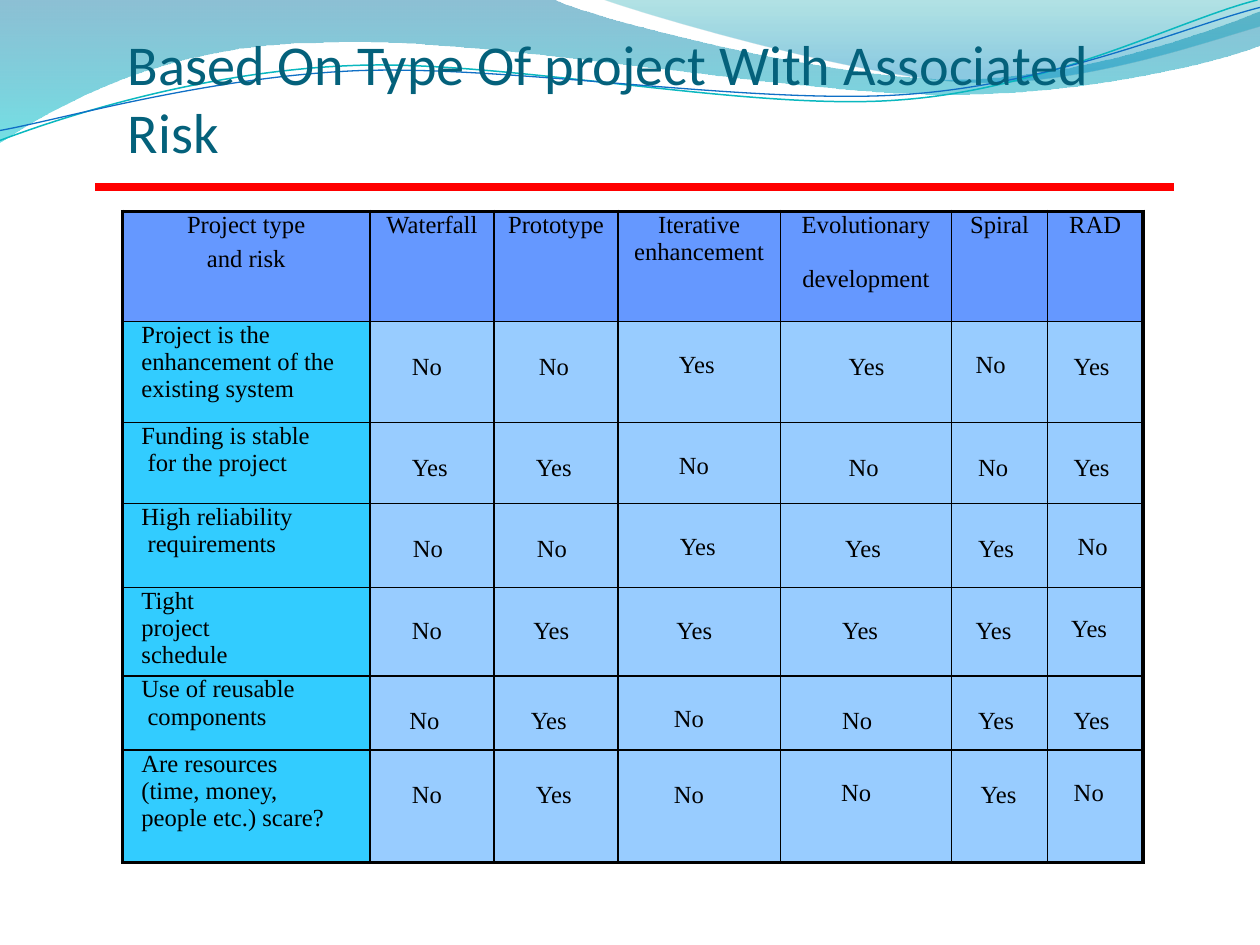
from pptx import Presentation
from pptx.dml.color import RGBColor
from pptx.enum.shapes import MSO_CONNECTOR
from pptx.enum.text import MSO_ANCHOR, PP_ALIGN
from pptx.oxml.ns import qn
from pptx.oxml.xmlchemy import OxmlElement
from pptx.util import Cm, Pt

COLORS = {
    "title": "04617B", "rule": "FF0000", "ink": "000000",
    "head": "6598FF", "label": "32CCFF", "answer": "98CCFF",
    "teal": "0AB8BF", "blue": "0F6FC6",
    "deep": "0074A1", "aqua": "00C6CF", "sea": "00A1A9", "sky": "008BBF",
}

# Outlines in cm: a start, then steps; two numbers draw a line, six a curve.
BAND = [(0, 0), (11.13, 0),
        (12.04, 0.43, 16.79, 1.6, 19.18, 1.6),
        (21.59, 1.6, 24.23, 0.66, 25.3, 0.23), (25.3, 0.91),
        (24.87, 1.12, 22, 1.93, 18.87, 1.9),
        (15.72, 1.9, 9.65, 0.71, 6.5, 0.86),
        (3.28, 0.89, 1.17, 2.11, 0, 2.87)]
CREST = [(12.12, 0), (12.88, 0.28, 17.25, 1.57, 19.46, 1.65),
         (21.64, 1.75, 24.31, 0.81, 25.3, 0.53), (25.3, 0)]
UPPER = [(0, 2.82), (1.22, 2.36, 3.99, 1.45, 6.99, 1.32),
         (10.01, 1.17, 14.99, 2.24, 18.03, 2.01),
         (21.06, 1.8, 23.72, 0.38, 25.25, 0)]
LOWER = [(0, 2.62), (1.19, 2.41, 4.14, 1.55, 7.16, 1.42),
         (10.19, 1.3, 15.11, 2.11, 18.14, 1.9),
         (21.16, 1.7, 23.8, 0.53, 25.3, 0.15)]

WIDTHS = [4.97, 2.49, 2.49, 3.26, 3.44, 1.92, 1.92]
HEIGHTS = [2.21, 2.03, 1.63, 1.68, 1.77, 1.49, 2.25]
# Lines of each heading, with the gap in points between them.
HEADS = [(["Project type", "and risk"], 3.8), (["Waterfall"], 0),
         (["Prototype"], 0), (["Iterative", "enhancement"], 0),
         (["Evolutionary", "development"], 15.5), (["Spiral"], 0), (["RAD"], 0)]
# Label lines, answers, then the left and top inset of each answer in cm.
ROWS = [
    (["Project is the", "enhancement of the", "existing system"],
     "No No Yes Yes No Yes",
     [0.84, 0.9, 1.22, 1.37, 0.48, 0.53], [0.64, 0.64, 0.6, 0.64, 0.6, 0.64]),
    (["Funding is stable", " for the project"],
     "Yes Yes No No No Yes",
     [0.84, 0.84, 1.22, 1.37, 0.53, 0.53], [0.64, 0.64, 0.6, 0.64, 0.64, 0.64]),
    (["High reliability", " requirements"],
     "No No Yes Yes Yes No",
     [0.86, 0.86, 1.24, 1.3, 0.53, 0.61], [0.64, 0.64, 0.6, 0.64, 0.64, 0.6]),
    (["Tight", "project", "schedule"],
     "No Yes Yes Yes Yes Yes",
     [0.84, 0.79, 1.17, 1.24, 0.48, 0.48], [0.6, 0.6, 0.6, 0.6, 0.6, 0.56]),
    (["Use of reusable", " components"],
     "No Yes No No Yes Yes",
     [0.79, 0.74, 1.12, 1.24, 0.53, 0.53], [0.64, 0.64, 0.6, 0.64, 0.64, 0.64]),
    (["Are resources", "(time, money,", "people etc.) scare?"],
     "No Yes No No Yes No",
     [0.84, 0.84, 1.12, 1.22, 0.58, 0.53], [0.64, 0.64, 0.64, 0.6, 0.64, 0.6]),
]


def tint(name):
    return RGBColor.from_string(COLORS[name])


def bend(shape, steps):
    """Turn the three straight segments of each curved step into one curve."""
    segs = iter(list(shape.element.iter(qn("a:lnTo"))))
    for step in steps:
        group = [next(segs) for _ in range(len(step) // 2)]
        if len(group) == 3:
            curve = OxmlElement("a:cubicBezTo")
            group[0].addprevious(curve)
            for seg in group:
                curve.append(seg[0])
                seg.getparent().remove(seg)


class Deck:
    def __init__(self, width, height):
        self.prs = Presentation()
        self.prs.slide_width, self.prs.slide_height = Cm(width), Cm(height)
        self.slide = self.prs.slides.add_slide(self.prs.slide_layouts[6])
        self.shapes = self.slide.shapes
        self.font, self.size = "Times New Roman", 14

    def put_run(self, para, text, font=None, size=None, color="ink"):
        run = para.add_run()
        run.text = text
        run.font.name = font or self.font
        run.font.size = Pt(size or self.size)
        run.font.color.rgb = tint(color)

    def free(self, steps, close):
        start, *rest = steps
        pen = self.shapes.build_freeform(*map(Cm, start))
        points = [(Cm(s[i]), Cm(s[i + 1])) for s in rest for i in range(0, len(s), 2)]
        pen.add_line_segments(points, close=close)
        shape = pen.convert_to_shape()
        shape.shadow.inherit = False
        bend(shape, rest)
        return shape

    def wave(self, steps, stops):
        """Fill an outline from top to bottom; stops hold name, place, opacity."""
        shape = self.free(steps, True)
        shape.line.fill.background()
        shape.fill.gradient()
        shape.fill.gradient_angle = 270
        for stop, (name, place, _) in zip(shape.fill.gradient_stops, stops):
            stop.color.rgb = tint(name)
            stop.position = place
        for color, (_, _, solid) in zip(shape.element.spPr.iter(qn("a:srgbClr")), stops):
            alpha = OxmlElement("a:alpha")
            alpha.set("val", str(solid * 1000))
            color.append(alpha)

    def curve(self, steps, name, width):
        shape = self.free(steps, False)
        shape.fill.background()
        shape.line.color.rgb = tint(name)
        shape.line.width = Pt(width)

    def title(self, text, left, top, width, height):
        frame = self.shapes.add_textbox(*map(Cm, (left, top, width, height))).text_frame
        frame.word_wrap = True
        frame.vertical_anchor = MSO_ANCHOR.BOTTOM
        frame.margin_left = frame.margin_right = 0
        frame.margin_top = frame.margin_bottom = 0
        self.put_run(frame.paragraphs[0], text, "Calibri", 32, "title")

    def rule(self, left, right, top):
        line = self.shapes.add_connector(
            MSO_CONNECTOR.STRAIGHT, Cm(left), Cm(top), Cm(right), Cm(top))
        line.line.color.rgb = tint("rule")
        line.line.width = Pt(4.5)
        line.element.spPr.append(OxmlElement("a:effectLst"))

    def grid(self, left, top):
        table = self.shapes.add_table(
            len(HEIGHTS), len(WIDTHS), Cm(left), Cm(top),
            Cm(sum(WIDTHS)), Cm(sum(HEIGHTS))).table
        table.first_row = table.horz_banding = False
        for col, width in zip(table.columns, WIDTHS):
            col.width = Cm(width)
        for row, height in zip(table.rows, HEIGHTS):
            row.height = Cm(height)
        return table

    def border(self, cell, sides):
        props = cell._tc.get_or_add_tcPr()
        for side, thick in sides.items():
            line = OxmlElement(f"a:ln{side}")
            line.set("w", str(Pt(2.25 if thick else 1)))
            fill, color = OxmlElement("a:solidFill"), OxmlElement("a:srgbClr")
            color.set("val", COLORS["ink"])
            fill.append(color)
            line.append(fill)
            props.append(line)

    def cell(self, table, row, col, fill, left=0, top=0):
        """Style one cell and return its text frame."""
        cell = table.cell(row, col)
        self.border(cell, {"L": col == 0, "R": col == len(WIDTHS) - 1,
                           "T": row == 0, "B": row == len(HEIGHTS) - 1})
        cell.fill.solid()
        cell.fill.fore_color.rgb = tint(fill)
        cell.margin_left, cell.margin_top = Cm(left), Cm(top)
        cell.margin_right = cell.margin_bottom = 0
        return cell.text_frame

    def head(self, table, col, lines, gap):
        frame = self.cell(table, 0, col, "head")
        for i, text in enumerate(lines):
            para = frame.add_paragraph() if i else frame.paragraphs[0]
            para.alignment = PP_ALIGN.CENTER
            para.space_before = Pt(gap if i else 0)
            self.put_run(para, text)

    def label(self, table, row, lines):
        para = self.cell(table, row, 0, "label", 0.38).paragraphs[0]
        for i, text in enumerate(lines):
            if i:
                para.add_line_break()
            self.put_run(para, text)


def main():
    deck = Deck(25.3, 18.97)
    deck.wave(BAND, [("deep", 0, 45), ("aqua", 1, 55)])
    deck.wave(CREST, [("sea", 0, 30), ("sky", 0.8, 45)])
    deck.curve(UPPER, "teal", 0.85)
    deck.curve(LOWER, "blue", 0.75)
    deck.title("Based On Type Of project With Associated Risk", 2.57, 0.56, 19.6, 2.74)
    deck.rule(1.91, 23.57, 3.76)
    table = deck.grid(2.46, 4.24)
    for col, (lines, gap) in enumerate(HEADS):
        deck.head(table, col, lines, gap)
    for row, (lines, answers, lefts, tops) in enumerate(ROWS, 1):
        deck.label(table, row, lines)
        for col, (text, left, top) in enumerate(zip(answers.split(), lefts, tops), 1):
            frame = deck.cell(table, row, col, "answer", left, top)
            deck.put_run(frame.paragraphs[0], text)
    deck.prs.save("out.pptx")


if __name__ == "__main__":
    main()
